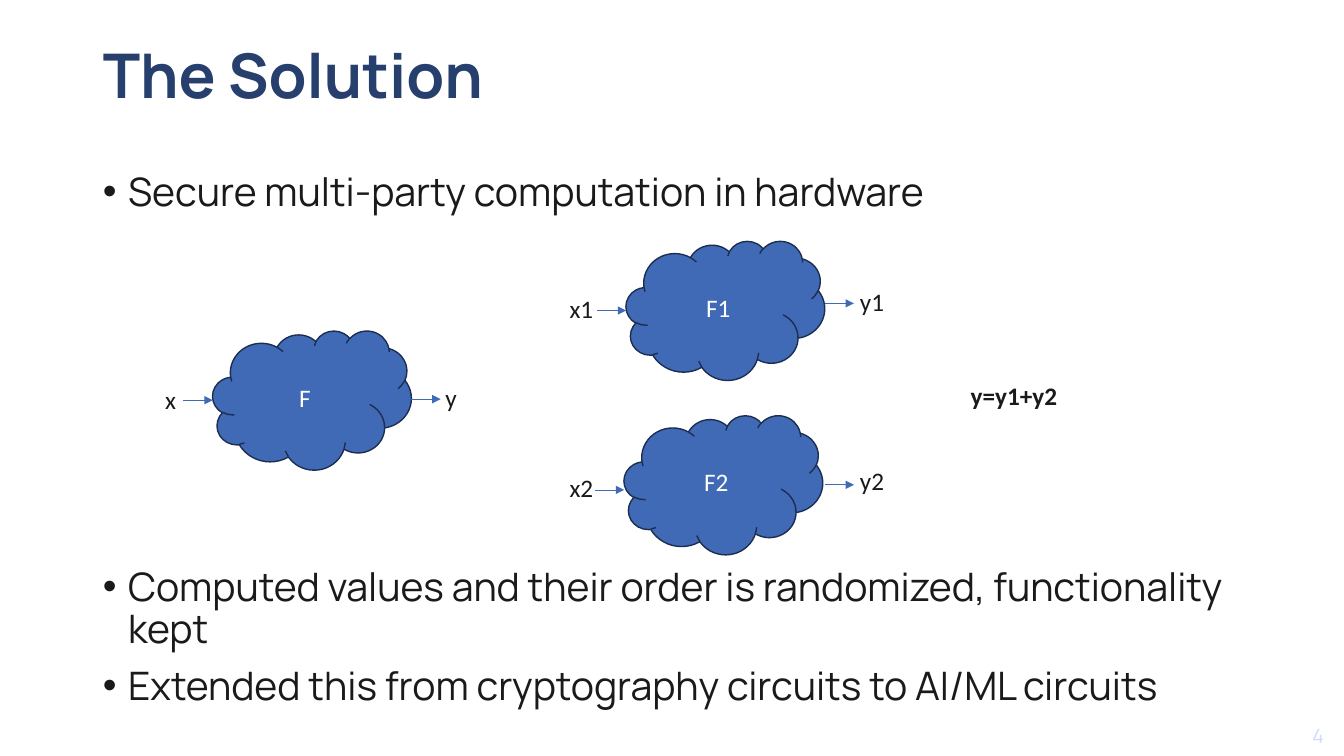
from lxml import etree
from pptx import Presentation
from pptx import util as u
from pptx.dml.color import RGBColor
from pptx.enum import shapes, text
from pptx.oxml.ns import qn

PX = 9144
INK, NAVY, BLUE, OUTLINE = "1A1A1A", "263F6D", "4069B6", "1C2E50"
WHITE, PALE = "FFFFFF", "CADDFF"
CLOUD_WIDTH, CLOUD_HEIGHT, ARROW_LENGTH = 197, 138, 29


def colour(hex_string):
    return RGBColor.from_string(hex_string)


class SlideBuilder:
    """Draws styled elements on one slide, with lengths in hundredths of an inch."""

    heading_font = "Manrope"
    label_font = "Calibri"

    def __init__(self, slide):
        self.slide = slide

    def box(self, *lengths):
        return [u.Emu(length * PX) for length in lengths]

    def add_words(self, paragraph, words, size, font, ink, bold=False):
        run = paragraph.add_run()
        run.text = words
        run.font.size = u.Pt(size)
        run.font.name = font
        run.font.bold = bold
        run.font.color.rgb = colour(ink)

    def place(self, placeholder, left, top, width, height):
        placeholder.left, placeholder.top, placeholder.width, placeholder.height = self.box(
            left, top, width, height)
        frame = placeholder.text_frame
        frame.word_wrap = True
        frame.auto_size = text.MSO_AUTO_SIZE.NONE
        frame.vertical_anchor = text.MSO_ANCHOR.TOP
        return frame

    def title(self, words, *bounds):
        paragraph = self.place(self.slide.shapes.title, *bounds).paragraphs[0]
        paragraph.alignment = text.PP_ALIGN.LEFT
        paragraph.line_spacing = 0.9
        self.add_words(paragraph, words, 44, self.heading_font, NAVY, True)

    def bullets(self, items, *bounds):
        frame = self.place(self.slide.placeholders[1], *bounds)
        for index, (words, space_before) in enumerate(items):
            paragraph = frame.add_paragraph() if index else frame.paragraphs[0]
            paragraph.line_spacing = 0.9
            paragraph.space_before = u.Pt(space_before)
            properties = paragraph._p.get_or_add_pPr()
            properties.set("marL", str(25 * PX))
            properties.set("indent", str(-25 * PX))
            etree.SubElement(properties, qn("a:buFont"), typeface="Arial")
            etree.SubElement(properties, qn("a:buChar"), char="•")
            self.add_words(paragraph, words, 28, self.heading_font, INK)

    def label(self, words, left, top, width, bold=False):
        shape = self.slide.shapes.add_textbox(*self.box(left, top, width, 40))
        shape.text_frame.word_wrap = True
        self.add_words(shape.text_frame.paragraphs[0], words, 18, self.label_font, INK, bold)

    def page_number(self, number, *bounds):
        frame = self.slide.shapes.add_textbox(*self.box(*bounds)).text_frame
        frame.word_wrap = True
        frame.vertical_anchor = text.MSO_ANCHOR.MIDDLE
        frame.paragraphs[0].alignment = text.PP_ALIGN.RIGHT
        self.add_words(frame.paragraphs[0], number, 14, self.heading_font, PALE)

    def cloud(self, words, left, top):
        shape = self.slide.shapes.add_shape(
            shapes.MSO_SHAPE.CLOUD, *self.box(left, top, CLOUD_WIDTH, CLOUD_HEIGHT))
        shape.shadow.inherit = False
        shape.fill.solid()
        shape.fill.fore_color.rgb = colour(BLUE)
        shape.line.color.rgb = colour(OUTLINE)
        shape.line.width = u.Pt(1)
        shape.text_frame.vertical_anchor = text.MSO_ANCHOR.MIDDLE
        paragraph = shape.text_frame.paragraphs[0]
        paragraph.alignment = text.PP_ALIGN.CENTER
        self.add_words(paragraph, words, 18, self.label_font, WHITE)

    def arrow(self, left, y):
        connector = self.slide.shapes.add_connector(
            shapes.MSO_CONNECTOR.STRAIGHT, *self.box(left, y, left + ARROW_LENGTH, y))
        connector.line.color.rgb = colour(BLUE)
        connector.line.width = u.Pt(0.5)
        properties = connector._element.spPr
        etree.SubElement(properties.find(qn("a:ln")), qn("a:tailEnd"), type="triangle")
        etree.SubElement(properties, qn("a:effectLst"))


def main():
    presentation = Presentation()
    presentation.slide_width, presentation.slide_height = u.Emu(1333 * PX), u.Emu(750 * PX)
    builder = SlideBuilder(presentation.slides.add_slide(presentation.slide_layouts[1]))

    builder.page_number("4", 1023, 710, 300, 40)
    builder.title("The Solution", 92, 40, 1150, 145)
    builder.bullets([
        ("Secure multi-party computation in hardware", 10),
        ("Computed values and their order is randomized, functionality kept", 252),
        ("Extended this from cryptography circuits to AI/ML circuits", 10),
    ], 92, 166, 1150, 510)

    functions = [
        ("F", 211, 328, ("x", 154, 376, 75), 397, ("y", 432, 374, 49), (408, 396)),
        ("F1", 621, 239, ("x1", 555, 286, 75), 308, ("y1", 843, 279, 49), (818, 301)),
        ("F2", 619, 412, ("x2", 555, 464, 61), 486, ("y2", 843, 457, 49), (818, 481)),
    ]
    for name, left, top, source, source_y, result, result_arrow in functions:
        builder.cloud(name, left, top)
        builder.label(*source)
        builder.arrow(left - ARROW_LENGTH, source_y)
        builder.arrow(*result_arrow)
        builder.label(*result)
    builder.label("y=y1+y2", 953, 372, 116, bold=True)

    presentation.save("out.pptx")


if __name__ == "__main__":
    main()
